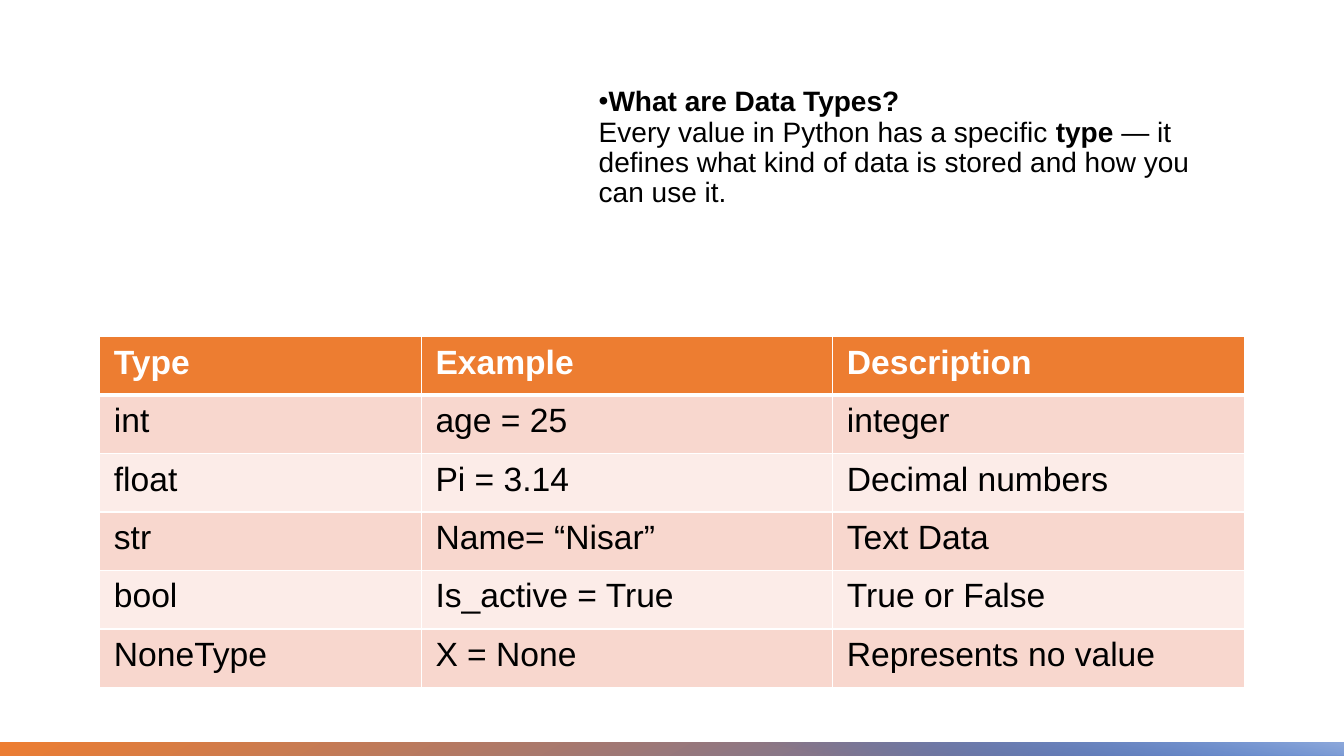
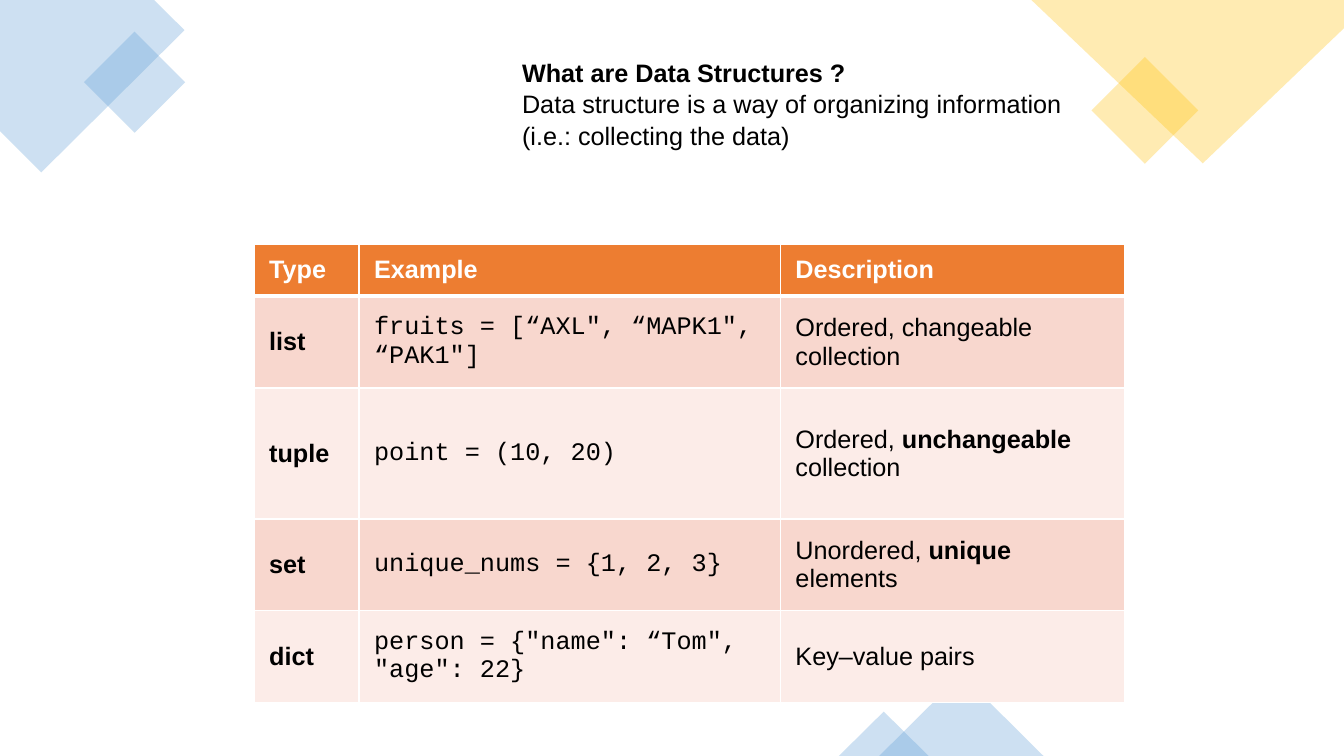
from dataclasses import dataclass
from lxml.etree import SubElement
from pptx import Presentation
from pptx.dml.color import RGBColor
from pptx.enum.shapes import MSO_SHAPE
from pptx.enum.text import MSO_ANCHOR
from pptx.oxml.ns import qn
from pptx.util import Emu, Pt

SCALE = 9144  # EMU in one px, 100 px to the inch


def px(n: int) -> Emu:
    return Emu(n * SCALE)


# Shared look
@dataclass(frozen=True)
class Theme:
    white: str = "FFFFFF"
    black: str = "000000"
    head: str = "ED7D31"
    bands: tuple = ("F8D7CE", "FCECE8")
    blue: str = "5B9BD5"
    gold: str = "FFC000"
    deep: str = "4472C4"
    pale: str = "8FAADC"
    sans: str = "Arial"
    mono: str = "Courier New"
    large: int = 24
    mid: int = 20
    small: int = 18
    thin: int = 1
    thick: int = 3
    tint: int = 30


T = Theme()


@dataclass
class Grid:
    left: int
    top: int
    cols: tuple
    rows: tuple
    pad: tuple
    size: int
    anchor: MSO_ANCHOR
    fonts: tuple
    cells: list


@dataclass
class Note:
    box: tuple
    size: int
    lead: float
    wrap: bool
    paras: tuple
    after: int = 0
    dot: bool = False


@dataclass
class Bar:
    box: tuple
    turn: int
    flip: bool
    slant: int
    stops: tuple  # (position, colour, opacity)


@dataclass
class Deco:
    kind: MSO_SHAPE
    box: tuple
    color: str
    turn: int = 0


@dataclass
class Patch:
    points: tuple
    color: str


# Text: ** switches bold on and off, a newline breaks the line
def write(para, text: str, size: int, color: str, face: str = T.sans) -> None:
    for i, part in enumerate(text.split("**")):
        for j, line in enumerate(part.split("\n")):
            if j:
                para.add_line_break()
            if not line:
                continue
            run = para.add_run()
            run.text = line
            look = {"size": Pt(size), "name": face, "bold": i % 2 == 1}
            for key, val in look.items():
                setattr(run.font, key, val)
            run.font.color.rgb = RGBColor.from_string(color)


def add_note(slide, note: Note) -> None:
    frame = slide.shapes.add_textbox(*map(px, note.box)).text_frame
    frame.word_wrap = note.wrap
    for i, text in enumerate(note.paras):
        para = frame.add_paragraph() if i else frame.paragraphs[0]
        para.line_spacing = note.lead
        para.space_after = Pt(note.after)
        if note.dot:
            props = para._p.get_or_add_pPr()
            props.set("marL", "0")
            props.set("indent", str(px(-25)))
            SubElement(props, qn("a:buFont"), typeface=T.sans)
            SubElement(props, qn("a:buChar"), char="•")
        write(para, text, note.size, T.black)


# Tables
def edge(cell, side: str, width: int) -> None:
    line = SubElement(cell._tc.get_or_add_tcPr(), qn(f"a:{side}"), w=str(Pt(width)))
    fill = SubElement(line, qn("a:solidFill"))
    SubElement(fill, qn("a:srgbClr"), val=T.white)


def add_grid(slide, grid: Grid) -> None:
    wide, high = sum(grid.cols), sum(grid.rows)
    table = slide.shapes.add_table(
        len(grid.rows), len(grid.cols),
        *map(px, (grid.left, grid.top, wide, high))).table
    table.first_row = table.horz_banding = False
    for col, width in zip(table.columns, grid.cols):
        col.width = px(width)
    pad_x, pad_y = map(px, grid.pad)
    for r, words in enumerate(grid.cells):
        table.rows[r].height = px(grid.rows[r])
        for c, text in enumerate(words):
            cell = table.cell(r, c)
            look = {"margin_left": pad_x, "margin_right": pad_x,
                    "margin_top": pad_y, "margin_bottom": pad_y,
                    "vertical_anchor": grid.anchor}
            for key, val in look.items():
                setattr(cell, key, val)
            edge(cell, "lnL", T.thin)
            edge(cell, "lnR", T.thin)
            edge(cell, "lnT", T.thick if r == 1 else T.thin)
            edge(cell, "lnB", T.thick if r == 0 else T.thin)
            cell.fill.solid()
            back = T.bands[(r - 1) % 2] if r else T.head
            cell.fill.fore_color.rgb = RGBColor.from_string(back)
            para = cell.text_frame.paragraphs[0]
            if r:
                write(para, text, grid.size, T.black, grid.fonts[c])
            else:
                write(para, f"**{text}**", grid.size, T.white)


# Shapes
def fade(fill, amount: int) -> None:
    for tone in fill.iter(qn("a:srgbClr")):
        SubElement(tone, qn("a:alpha"), val=str(amount * 1000))


def plain(shape) -> None:
    shape.shadow.inherit = False
    shape.line.fill.background()


def tint(shape, color: str) -> None:
    plain(shape)
    shape.fill.solid()
    shape.fill.fore_color.rgb = RGBColor.from_string(color)
    fade(shape._element.spPr.find(qn("a:solidFill")), T.tint)


def add_deco(slide, deco: Deco) -> None:
    shape = slide.shapes.add_shape(deco.kind, *map(px, deco.box))
    shape.rotation = deco.turn
    tint(shape, deco.color)


def add_patch(slide, patch: Patch) -> None:
    start, *rest = patch.points
    pen = slide.shapes.build_freeform(*start, scale=SCALE)
    pen.add_line_segments(rest, close=True)
    tint(pen.convert_to_shape(), patch.color)


def add_bar(slide, bar: Bar) -> None:
    shape = slide.shapes.add_shape(MSO_SHAPE.RECTANGLE, *map(px, bar.box))
    plain(shape)
    shape.rotation = bar.turn
    if bar.flip:
        shape._element.spPr.find(qn("a:xfrm")).set("flipH", "1")
    shape.fill.gradient()
    shape.fill.gradient_angle = 360 - bar.slant
    for stop, (place, color, solid) in zip(shape.fill.gradient_stops, bar.stops):
        stop.position = place
        stop.color.rgb = RGBColor.from_string(color)
        if solid < 100:
            fade(stop._gs, solid)


# Content
TITLES = ("Type", "Example", "Description")

TYPES = Grid(99, 334, (319, 408, 408), (58,) * 6, (14, 7), T.large,
             MSO_ANCHOR.TOP, (T.sans,) * 3, [
    TITLES,
    ("int", "age = 25", "integer"),
    ("float", "Pi = 3.14", "Decimal numbers"),
    ("str", "Name= “Nisar”", "Text Data"),
    ("bool", "Is_active = True", "True or False"),
    ("NoneType", "X = None", "Represents no value"),
])

STORES = Grid(252, 242, (104, 418, 341), (52, 91, 130, 91, 91), (15, 8), T.small,
              MSO_ANCHOR.MIDDLE, (T.sans, T.mono, T.sans), [
    TITLES,
    ("**list**", 'fruits = [“AXL", “MAPK1", “PAK1"]', "Ordered, changeable collection"),
    ("**tuple**", "point = (10, 20)", "Ordered, **unchangeable** collection"),
    ("**set**", "unique_nums = {1, 2, 3}", "Unordered, **unique** elements"),
    ("**dict**", 'person = {"name": “Tom", "age": 22}', "Key–value pairs"),
])

TYPE_NOTE = Note((584, 82, 650, 230), T.mid, 0.9, True, (
    "**What are Data Types?**\nEvery value in Python has a specific **type** — it "
    "defines what kind of data is stored and how you can use it.",), 6, True)

STORE_NOTE = Note((508, 50, 560, 131), T.small, 1.05, False, (
    "**What are Data Structures ?**\nData structure is a way of organizing information",
    "(i.e.: collecting the data)"))

BARS = (
    Bar((660, 76, 13, 1335), 90, True, 30, ((0, T.deep, 100), (1, T.head, 100))),
    Bar((1004, 419, 13, 648), 270, False, 10, ((0.19, T.deep, 0), (1, T.pale, 100))),
)

PATCHES = (
    Patch(((153, 0), (0, 0), (0, 130), (41, 171), (183, 30)), T.blue),
    Patch(((1333, 0), (1023, 0), (1193, 162), (1333, 28)), T.gold),
)

DECOS = (
    Deco(MSO_SHAPE.RECTANGLE, (98, 46, 71, 71), T.blue, 315),
    Deco(MSO_SHAPE.RECTANGLE, (1098, 72, 75, 75), T.gold, 315),
    Deco(MSO_SHAPE.ISOSCELES_TRIANGLE, (872, 669, 163, 81), T.blue),
    Deco(MSO_SHAPE.ISOSCELES_TRIANGLE, (832, 706, 89, 44), T.blue),
)


def main() -> None:
    deck = Presentation()
    deck.slide_width, deck.slide_height = px(1333), px(750)
    blank = deck.slide_layouts[6]

    # Data types
    slide = deck.slides.add_slide(blank)
    add_note(slide, TYPE_NOTE)
    for bar in BARS:
        add_bar(slide, bar)
    add_grid(slide, TYPES)

    # Data structures
    slide = deck.slides.add_slide(blank)
    for patch in PATCHES:
        add_patch(slide, patch)
    for deco in DECOS:
        add_deco(slide, deco)
    add_grid(slide, STORES)
    add_note(slide, STORE_NOTE)

    deck.save("out.pptx")


if __name__ == "__main__":
    main()
